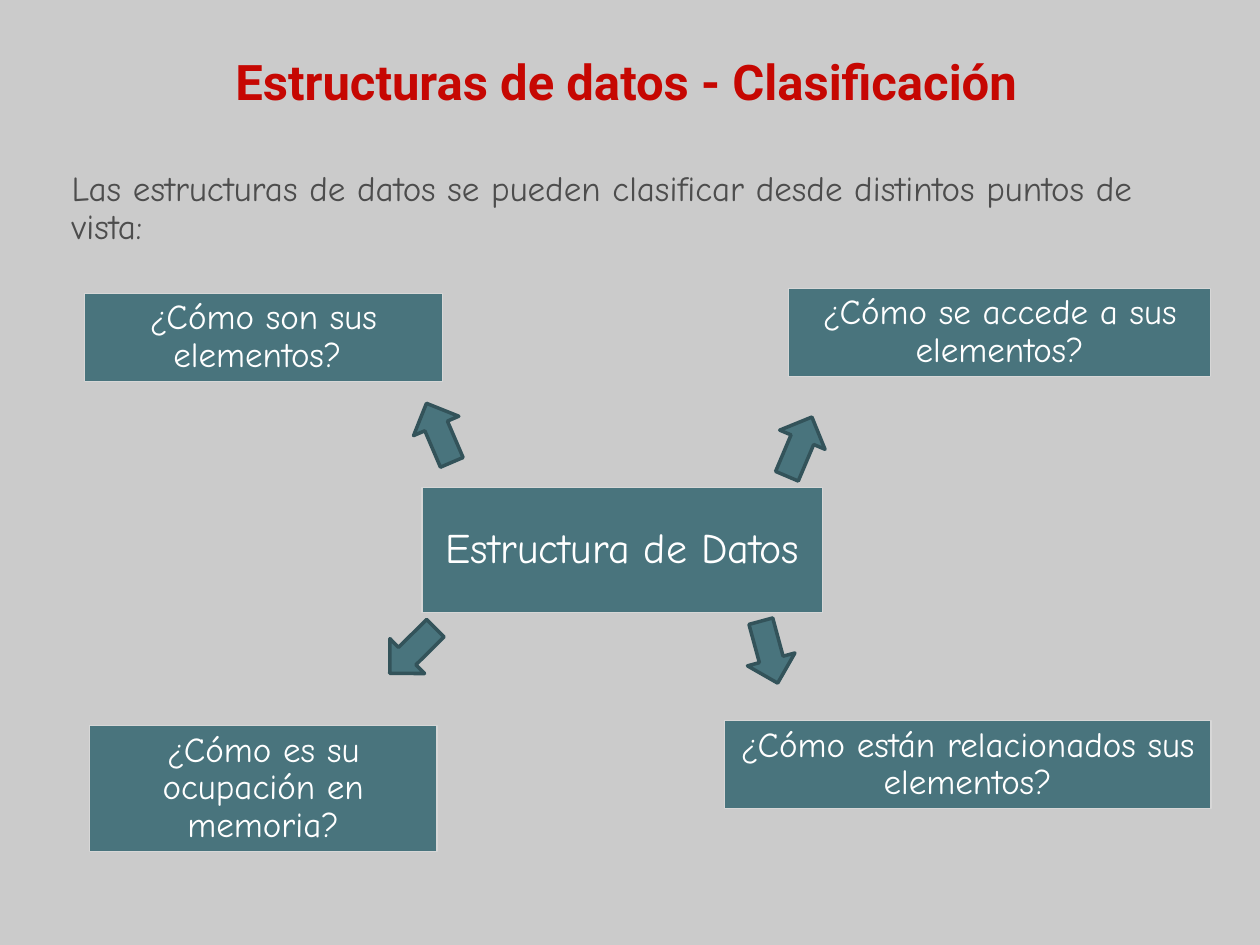
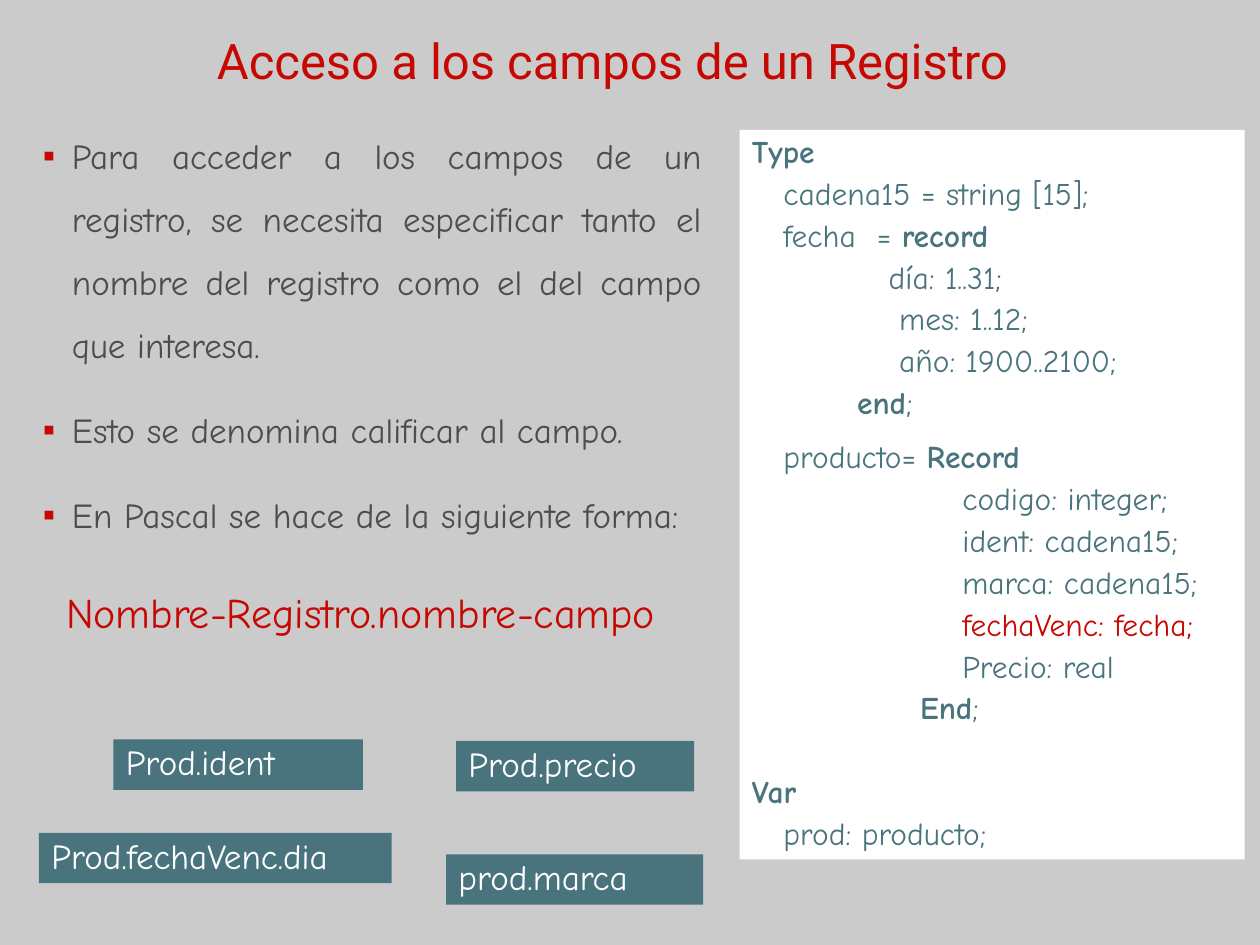
from lxml import etree
from pptx import Presentation
from pptx.dml.color import RGBColor
from pptx.enum.shapes import MSO_SHAPE
from pptx.enum.text import MSO_ANCHOR, MSO_AUTO_SIZE, PP_ALIGN
from pptx.oxml.ns import qn
from pptx.util import Pt

RECT, ARROW = MSO_SHAPE.RECTANGLE, MSO_SHAPE.RIGHT_ARROW
TOP, MIDDLE = MSO_ANCHOR.TOP, MSO_ANCHOR.MIDDLE
LEFT, CENTER, JUSTIFY = PP_ALIGN.LEFT, PP_ALIGN.CENTER, PP_ALIGN.JUSTIFY
NO_AUTOFIT = MSO_AUTO_SIZE.NONE

GRAY = RGBColor(0xCB, 0xCB, 0xCB)
TEAL = RGBColor(0x49, 0x74, 0x7D)
DARK_TEAL = RGBColor(0x33, 0x53, 0x5A)
EDGE = RGBColor(0xD7, 0xD7, 0xD7)
RED = RGBColor(0xC6, 0x07, 0x02)
TEXT = RGBColor(0x4D, 0x4D, 0x4D)
WHITE = RGBColor(0xFF, 0xFF, 0xFF)
TITLE_FONT, BODY_FONT = "Roboto", "Comic Neue"

QUESTIONS = [
    ("¿Cómo son sus elementos? ", (48.25, 167.75, 204.5, 50.4)),
    ("¿Cómo se accede a sus elementos?", (450.7, 164.9, 241.2, 50.4)),
    ("¿Cómo es su ocupación en memoria?", (51.1, 414.7, 198.7, 72)),
    ("¿Cómo están relacionados sus elementos?", (414, 411.8, 278, 50.4)),
]
ARROWS = [
    (232.6, 233.3, 246.8),
    (438.5, 241.2, 292.9),
    (217.4, 357.8, 135.2),
    (421.2, 358.6, 74.8),
]
ACCESS_STEPS = [
    "Para acceder a los campos de un registro, se necesita especificar tanto "
    "el nombre del registro como el del campo que interesa. ",
    "Esto se denomina calificar al campo.",
    "En Pascal se hace de la siguiente forma:",
]
FIELDS = [
    ("Prod.ident", 64.8, 422.6, 142.6),
    ("Prod.precio", 260.6, 423.4, 136.1),
    ("Prod.fechaVenc.dia", 22.3, 475.9, 201.6),
    ("prod.marca", 254.9, 488.2, 146.9),
]
CODE = """*Type*
   cadena15 = string [15];
   fecha  = *record*
             día: 1..31;
              mes: 1..12;
              año: 1900..2100;
          *end*;
   producto= *Record*
                    codigo: integer;
                    ident: cadena15;
                    marca: cadena15;
                    fechaVenc: fecha;
                    Precio: real
                *End*;
*Var*
   prod: producto;""".split("\n")
CODE_GAPS = {"   producto= *Record*": 11.2, "*Var*": 28.5}


class Deck:
    def __init__(self):
        self.prs = Presentation()
        self.prs.slide_width, self.prs.slide_height = Pt(720), Pt(540)
        fill = self.prs.slide_master.background.fill
        fill.solid()
        fill.fore_color.rgb = GRAY

    def add_slide(self):
        self.s = self.prs.slides.add_slide(self.prs.slide_layouts[1])

    def place(self, sp, box):
        sp.left, sp.top, sp.width, sp.height = map(Pt, box)
        sp.text_frame.auto_size = NO_AUTOFIT
        sp.text_frame.word_wrap = True
        return sp.text_frame

    def style(self, p, size, color, font=BODY_FONT, align=LEFT, spacing=0.9, before=0):
        p.alignment = align
        p.line_spacing = spacing
        p.space_before = Pt(before)
        for r in p.runs:
            r.font.name = font
            r.font.size = Pt(size)
            r.font.color.rgb = color

    def title(self, text, box, bold=False):
        tf = self.place(self.s.shapes.title, box)
        tf.text = text
        tf.vertical_anchor = MIDDLE
        tf.margin_left = tf.margin_right = 0
        self.style(tf.paragraphs[0], 28, RED, TITLE_FONT, CENTER, 1)
        tf.paragraphs[0].runs[0].font.bold = bold

    def body(self, lines, box):
        tf = self.place(self.s.placeholders[1], box)
        tf.text = "\n".join(lines)
        tf.vertical_anchor = TOP
        return tf.paragraphs

    def indent(self, p, margin, bullet=None):
        pPr = p._p.get_or_add_pPr()
        pPr.set("marL", str(Pt(margin)))
        pPr.set("indent", str(-Pt(margin) if bullet else 0))
        if bullet:
            color = etree.SubElement(pPr, qn("a:buClr"))
            etree.SubElement(color, qn("a:srgbClr"), val=str(RED))
            etree.SubElement(pPr, qn("a:buChar"), char=bullet)
        else:
            etree.SubElement(pPr, qn("a:buNone"))

    def shape(self, kind, box, fill=TEAL, line=None, width=0.75):
        sp = self.s.shapes.add_shape(kind, *map(Pt, box))
        sp.shadow.inherit = False
        sp.fill.solid()
        sp.fill.fore_color.rgb = fill
        if line is None:
            sp.line.fill.background()
        else:
            sp.line.color.rgb = line
            sp.line.width = Pt(width)
        return sp

    def label(self, text, box, size=20, align=LEFT, anchor=TOP, line=None):
        tf = self.shape(RECT, box, line=line).text_frame
        tf.text = text
        tf.word_wrap = True
        tf.vertical_anchor = anchor
        self.style(tf.paragraphs[0], size, WHITE, align=align)

    def arrow(self, left, top, rotation):
        self.shape(ARROW, (left, top, 36.7, 28.1), line=DARK_TEAL, width=2).rotation = rotation

    def code(self, lines, box):
        tf = self.shape(RECT, box, fill=WHITE).text_frame
        tf.word_wrap = True
        tf.vertical_anchor = TOP
        for i, line in enumerate(lines):
            p = tf.add_paragraph() if i else tf.paragraphs[0]
            for j, part in enumerate(line.split("*")):
                if part:
                    r = p.add_run()
                    r.text = part
                    r.font.bold = j % 2 == 1
            color = RED if "fechaVenc" in line else TEAL
            self.style(p, 18, color, before=CODE_GAPS.get(line, 4.5) if i else 0)


def classification(deck):
    deck.add_slide()
    deck.title("Estructuras de datos - Clasificación", (90.7, 9.4, 534.2, 74.2), bold=True)
    intro = "Las estructuras de datos se pueden clasificar desde distintos puntos de vista:"
    p = deck.body([intro], (33.8, 94.3, 666, 50.4))[0]
    deck.indent(p, 0)
    deck.style(p, 20, TEXT)
    for text, box in QUESTIONS:
        deck.label(text, box, align=CENTER, line=EDGE)
    deck.label("Estructura de Datos", (241.2, 278.6, 229, 71.3), 24, CENTER, MIDDLE, EDGE)
    for arrow in ARROWS:
        deck.arrow(*arrow)


def field_access(deck):
    deck.add_slide()
    deck.title("Acceso a los campos de un Registro", (115.9, 0, 468, 68.4))
    lines = ACCESS_STEPS + ["Nombre-Registro.nombre-campo"]
    *steps, syntax = deck.body(lines, (17.3, 61.2, 391, 329))
    for i, p in enumerate(steps):
        deck.indent(p, 16.6, "▪")
        deck.style(p, 20, TEXT, align=JUSTIFY, spacing=1.5, before=12.5 if i else 0)
    deck.indent(syntax, 13.25)
    deck.style(syntax, 24, RED, align=JUSTIFY, spacing=1.5, before=15)
    for text, left, top, width in FIELDS:
        deck.label(text, (left, top, width, 28.8))
    deck.code(CODE, (422.6, 74.2, 288.7, 416.9))


def main():
    deck = Deck()
    classification(deck)
    field_access(deck)
    deck.prs.save("out.pptx")


if __name__ == "__main__":
    main()
